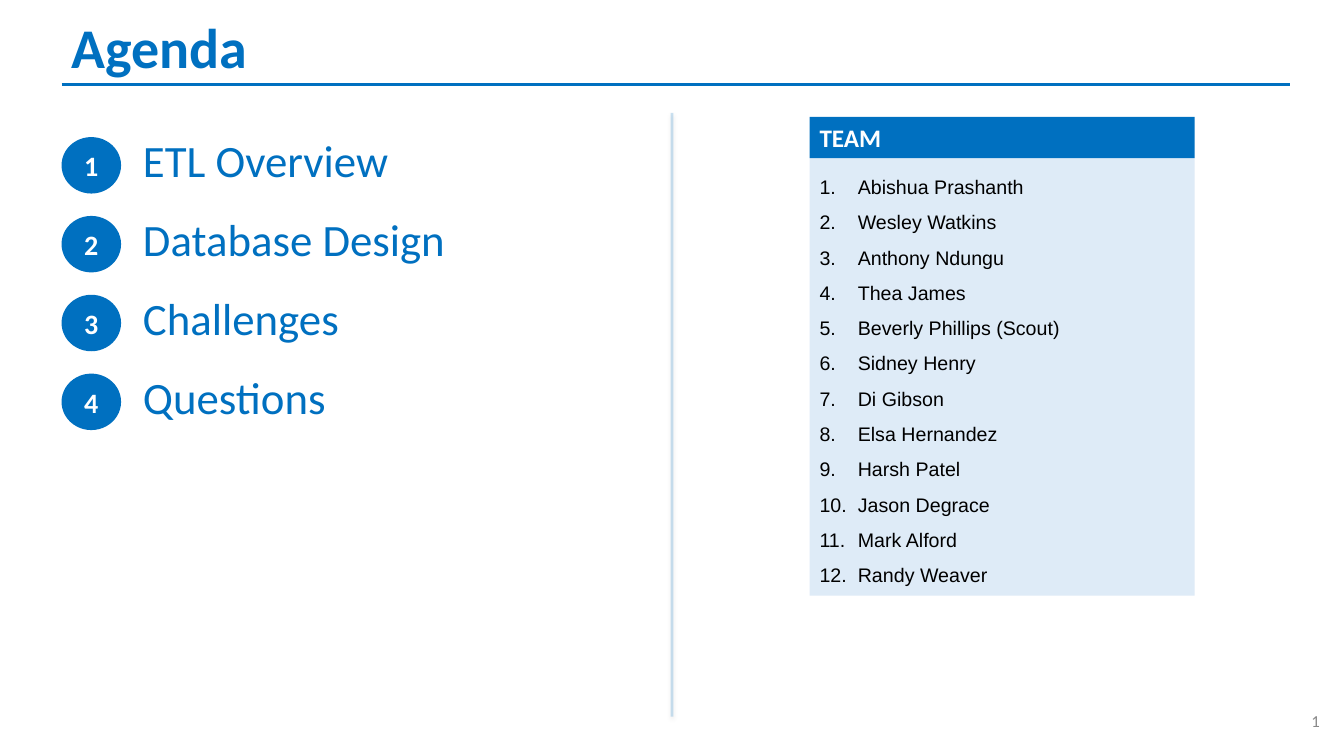
from lxml import etree
from pptx import Presentation
from pptx import util as u
from pptx.dml.color import RGBColor
from pptx.enum import shapes, text
from pptx.oxml.ns import qn

WIDE, HIGH = u.Inches(13.33), u.Inches(7.5)
COLORS = {"blue": "0070C0", "pale": "DEEBF7", "white": "FFFFFF",
          "gray": "888888", "black": "000000"}
TOPICS = ["ETL Overview", "Database Design", "Challenges", "Questions"]
TEAM = ["Abishua Prashanth", "Wesley Watkins", "Anthony Ndungu", "Thea James",
        "Beverly Phillips (Scout)", "Sidney Henry", "Di Gibson",
        "Elsa Hernandez", "Harsh Patel", "Jason Degrace", "Mark Alford",
        "Randy Weaver"]
LEFT, STEP = 4.58, 10.43
CARD, SPAN = 60.24, 28.66


def color(name):
    return RGBColor.from_string(COLORS[name])


def col(share):
    return int(WIDE * share / 100)


def row(share):
    return int(HIGH * share / 100)


def area(x, y, w, h):
    return col(x), row(y), col(w), row(h)


def write(shape, lines, size, ink, bold=False, font="Calibri",
          align=text.PP_ALIGN.LEFT, anchor=text.MSO_ANCHOR.TOP, space=None):
    frame = shape.text_frame
    frame.word_wrap = True
    frame.vertical_anchor = anchor
    frame.text = "\n".join(lines)
    for para in frame.paragraphs:
        para.alignment = align
        para.line_spacing = space
        para.font.size = u.Pt(size)
        para.font.name = font
        para.font.bold = bold
        para.font.color.rgb = color(ink)


def label(slide, box, line, size, ink, **style):
    write(slide.shapes.add_textbox(*area(*box)), [line], size, ink, **style)


def block(slide, kind, box, fill, lines, size, ink, **style):
    shape = slide.shapes.add_shape(kind, *area(*box))
    shape.shadow.inherit = False
    shape.fill.solid()
    shape.fill.fore_color.rgb = color(fill)
    shape.line.fill.background()
    write(shape, lines, size, ink, **style)
    return shape


def rule(slide, start, end, width):
    line = slide.shapes.add_connector(
        shapes.MSO_CONNECTOR.STRAIGHT,
        col(start[0]), row(start[1]), col(end[0]), row(end[1]))
    line.line.color.rgb = color("blue")
    line.line.width = u.Pt(width)
    effects = etree.SubElement(line._element.spPr, qn("a:effectLst"))
    return line, effects


def soften(line, effects):
    tint = line._element.spPr.find(".//" + qn("a:srgbClr"))
    etree.SubElement(tint, qn("a:alpha"), val="20000")
    shade = etree.SubElement(effects, qn("a:outerShdw"),
                             blurRad=str(u.Pt(3.1)), dist=str(u.Pt(1.6)),
                             dir="5400000", rotWithShape="0")
    tint = etree.SubElement(shade, qn("a:srgbClr"), val=COLORS["black"])
    etree.SubElement(tint, qn("a:alpha"), val="38000")


def number(shape):
    indent = u.Inches(0.38)
    for para in shape.text_frame.paragraphs:
        props = para._p.get_or_add_pPr()
        props.set("marL", str(indent))
        props.set("indent", str(-indent))
        etree.SubElement(props, qn("a:buFont"), typeface="+mj-lt")
        etree.SubElement(props, qn("a:buAutoNum"), type="arabicPeriod")
        base = props.find(qn("a:defRPr"))
        if base is not None:
            props.append(base)


def topic(slide, index, name):
    drop = index * STEP
    block(slide, shapes.MSO_SHAPE.OVAL, (LEFT, 18.13 + drop, 4.43, 7.47),
          "blue", [str(index + 1)], 20, "white", bold=True,
          align=text.PP_ALIGN.CENTER, anchor=text.MSO_ANCHOR.MIDDLE)
    label(slide, (9.9, 16.93 + drop, 39, 8.53), name, 32, "blue")


def team(slide):
    rect = shapes.MSO_SHAPE.RECTANGLE
    names = block(slide, rect, (CARD, 20.93, SPAN, 57.87), "pale",
                  TEAM, 14, "black", font="Arial", space=1.5)
    number(names)
    block(slide, rect, (CARD, 15.47, SPAN, 5.46), "blue",
          ["TEAM"], 18, "white", bold=True)


def main():
    deck = Presentation()
    deck.slide_width, deck.slide_height = WIDE, HIGH
    slide = deck.slides.add_slide(deck.slide_layouts[6])
    middle = text.MSO_ANCHOR.MIDDLE
    label(slide, (LEFT, 1.07, 91.37, 11.2), "Agenda", 40, "blue",
          bold=True, anchor=middle, space=0.9)
    rule(slide, (LEFT, 11.2), (96, 11.2), 2.25)
    label(slide, (95.65, 92.67, 3.3, 5.33), "1", 12, "gray",
          align=text.PP_ALIGN.RIGHT, anchor=middle)
    for index, name in enumerate(TOPICS):
        topic(slide, index, name)
    team(slide)
    soften(*rule(slide, (50, 14.93), (50, 94.8), 2))
    deck.save("out.pptx")


if __name__ == "__main__":
    main()
